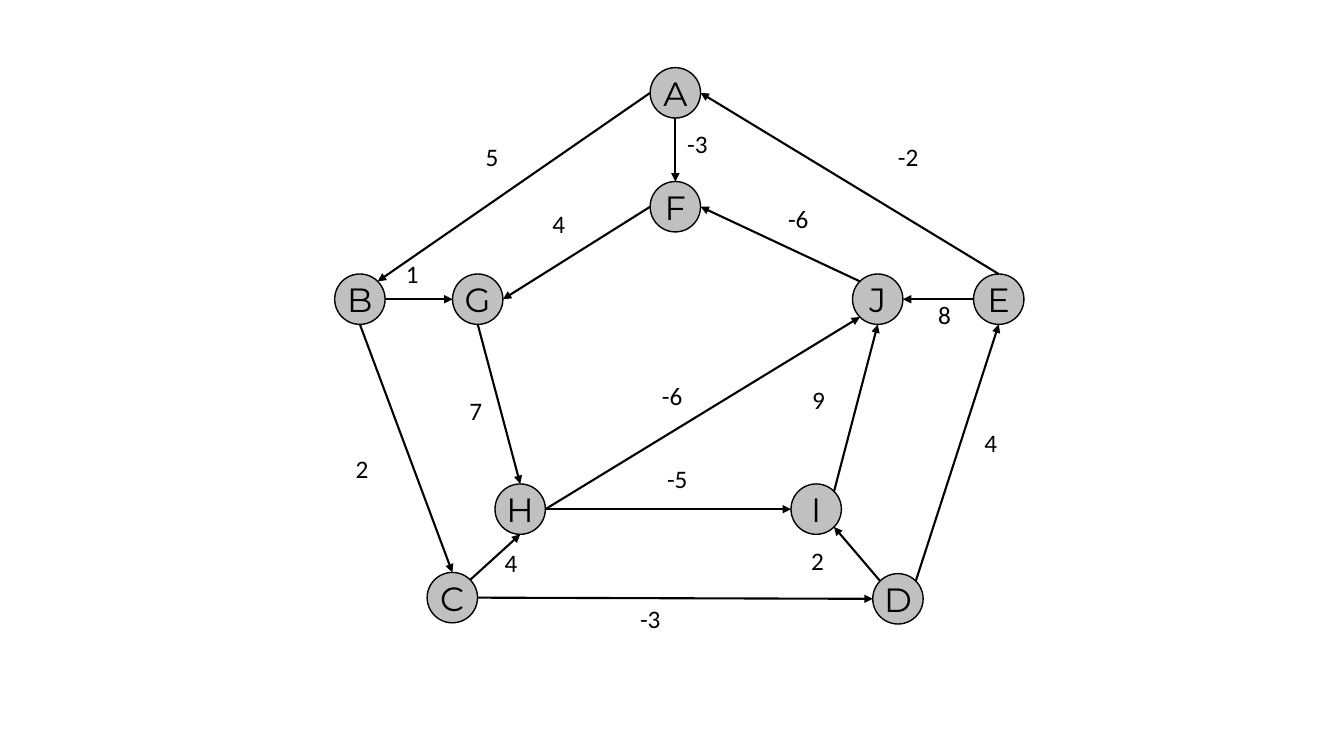
import math
from typing import NamedTuple

import pptx
import pptx.dml.color
import pptx.enum.shapes
import pptx.enum.text
import pptx.oxml.ns
import pptx.util
from lxml import etree

Cm, Pt = pptx.util.Cm, pptx.util.Pt
Text = pptx.enum.text
SIZE = 1.27  # node width, and height of a weight label
HUES = {"ink": "000000", "node": "C0C0C0"}
WIDTHS = {1: 0.99, 2: 1.3}  # label width by count of signs
ANGLES = {side: math.radians(45 * turn) for turn, side in
          enumerate(("E", "SE", "S", "SW", "W", "NW", "N", "NE"))}

# Formats
NODE_FONT = {"name": "Montserrat", "size": Pt(24)}
MARK_FONT = {"name": "Calibri", "size": Pt(18)}
NODE_FRAME = {"word_wrap": False, "vertical_anchor": Text.MSO_ANCHOR.MIDDLE}
MARK_FRAME = {"word_wrap": False, "auto_size": Text.MSO_AUTO_SIZE.SHAPE_TO_FIT_TEXT}


class Node(NamedTuple):
    name: str
    x: float  # centre
    y: float

    def point(self, side: str) -> tuple[float, float]:
        angle = ANGLES[side]
        return (self.x + SIZE / 2 * math.cos(angle),
                self.y + SIZE / 2 * math.sin(angle))


class Edge(NamedTuple):
    start: str
    leave: str  # side of the start node
    end: str
    enter: str  # side of the end node
    weight: str
    x: float  # left and top of the weight label
    y: float


NODES = {node.name: node for node in (
    Node("A", 17.02, 2.34),
    Node("B", 9.07, 7.54),
    Node("E", 25.17, 7.54),
    Node("C", 11.4, 15.06),
    Node("D", 22.63, 15.09),
    Node("F", 17.02, 5.21),
    Node("H", 13.11, 12.83),
    Node("G", 12.04, 7.54),
    Node("J", 22.12, 7.54),
    Node("I", 20.57, 12.83),
)}

EDGES = (
    # Outer ring
    Edge("A", "W", "B", "NE", "5", 11.99, 3.43),
    Edge("B", "S", "C", "N", "2", 8.71, 11.3),
    Edge("C", "E", "D", "W", "-3", 15.88, 15.09),
    Edge("D", "NE", "E", "S", "4", 24.56, 10.64),
    Edge("E", "N", "A", "E", "-2", 22.38, 3.43),
    # Spokes
    Edge("A", "S", "F", "N", "-3", 17.07, 3.1),
    Edge("B", "E", "G", "W", "1", 9.98, 6.38),
    Edge("C", "NE", "H", "S", "4", 12.47, 13.67),
    Edge("D", "NW", "I", "SE", "2", 20.19, 13.61),
    Edge("E", "W", "J", "E", "8", 23.39, 7.42),
    # Inner ring
    Edge("J", "NW", "F", "E", "-6", 19.61, 5),
    Edge("F", "W", "G", "E", "4", 13.67, 5.13),
    Edge("G", "S", "H", "N", "7", 11.58, 9.83),
    Edge("H", "E", "I", "W", "-5", 16.56, 11.56),
    Edge("I", "NE", "J", "S", "9", 20.22, 9.55),
    # Chord
    Edge("H", "E", "J", "SW", "-6", 16.43, 9.47),
)


def tint(key: str) -> pptx.dml.color.RGBColor:
    return pptx.dml.color.RGBColor.from_string(HUES[key])


def style(target, looks: dict) -> None:
    for key, value in looks.items():
        setattr(target, key, value)


def write(shape, text: str, frame: dict, font: dict, align) -> None:
    style(shape.text_frame, frame)
    para = shape.text_frame.paragraphs[0]
    para.alignment = align
    run = para.add_run()
    run.text = text
    style(run.font, font)
    run.font.color.rgb = tint("ink")


def stroke(shape, width: float) -> None:
    shape.line.color.rgb = tint("ink")
    shape.line.width = Pt(width)


def draw_node(shapes, node: Node) -> None:
    disc = shapes.add_shape(
        pptx.enum.shapes.MSO_SHAPE.OVAL,
        Cm(node.x - SIZE / 2), Cm(node.y - SIZE / 2), Cm(SIZE), Cm(SIZE))
    disc.shadow.inherit = False
    disc.fill.solid()
    disc.fill.fore_color.rgb = tint("node")
    stroke(disc, 1)
    write(disc, node.name, NODE_FRAME, NODE_FONT, Text.PP_ALIGN.CENTER)


def draw_edge(shapes, edge: Edge) -> None:
    ends = (*NODES[edge.start].point(edge.leave), *NODES[edge.end].point(edge.enter))
    arrow = shapes.add_connector(
        pptx.enum.shapes.MSO_CONNECTOR.STRAIGHT, *(Cm(value) for value in ends))
    stroke(arrow, 1.5)
    # Arrowhead, and no shadow
    props = arrow._element.spPr
    tag = pptx.oxml.ns.qn
    etree.SubElement(props.find(tag("a:ln")), tag("a:tailEnd"), type="triangle")
    etree.SubElement(props, tag("a:effectLst"))


def draw_mark(shapes, edge: Edge) -> None:
    box = shapes.add_textbox(
        Cm(edge.x), Cm(edge.y), Cm(WIDTHS[len(edge.weight)]), Cm(SIZE))
    write(box, edge.weight, MARK_FRAME, MARK_FONT, Text.PP_ALIGN.LEFT)


def main() -> None:
    deck = pptx.Presentation()
    style(deck, {"slide_width": Cm(33.87), "slide_height": Cm(19.05)})
    shapes = deck.slides.add_slide(deck.slide_layouts[6]).shapes

    # Nodes, then arrows, then weights
    for node in NODES.values():
        draw_node(shapes, node)
    for draw in (draw_edge, draw_mark):
        for edge in EDGES:
            draw(shapes, edge)
    deck.save("out.pptx")


if __name__ == "__main__":
    main()
